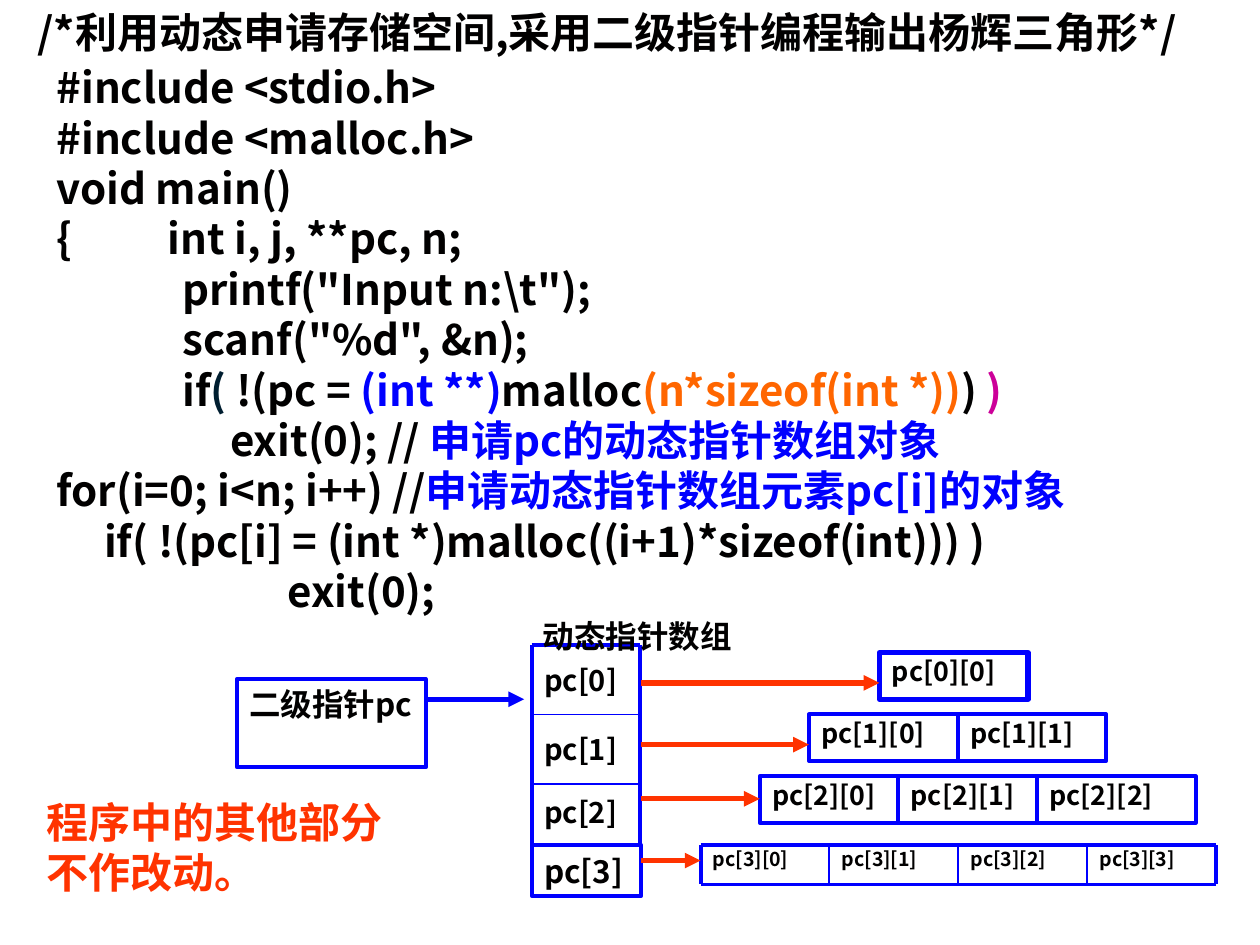
"""Draw the slide on a Pascal triangle built with a pointer to pointers."""
from dataclasses import dataclass
from lxml.etree import SubElement
from pptx import Presentation
from pptx.dml.color import RGBColor
from pptx.enum.shapes import MSO_CONNECTOR, MSO_SHAPE
from pptx.enum.text import MSO_ANCHOR, MSO_AUTO_SIZE, PP_ALIGN
from pptx.oxml.ns import qn
from pptx.util import Inches, Pt


@dataclass(frozen=True)
class Theme:
    face: str = "Noto Sans CJK SC"
    ink: str = "010000"
    navy: str = "001E30"
    blue: str = "0000FF"
    orange: str = "FF6600"
    pink: str = "CC0099"
    red: str = "FF3300"
    code: float = 24
    label: float = 18
    slot: float = 16.6
    cell: float = 15.3
    small: float = 11.2
    thin: float = 1
    frame: float = 2.25
    thick: float = 3


class Pen:
    def __init__(self, slide, theme):
        self.slide = slide
        self.theme = theme

    def fill_text(self, shape, lines, size, pitch=None):
        frame = shape.text_frame
        frame.word_wrap = True
        frame.auto_size = MSO_AUTO_SIZE.NONE
        frame.vertical_anchor = MSO_ANCHOR.TOP
        for i, line in enumerate(lines):
            para = frame.paragraphs[0] if i == 0 else frame.add_paragraph()
            para.alignment = PP_ALIGN.LEFT
            if pitch:
                para.line_spacing = pitch
            tabs = SubElement(para._p.get_or_add_pPr(), qn("a:tabLst"))
            SubElement(tabs, qn("a:tab"), pos=str(Inches(1)), algn="l")
            for words, color in line:
                run = para.add_run()
                run.text = words
                font = run.font
                font.name = self.theme.face
                font.size = Pt(size)
                font.bold = True
                font.color.rgb = RGBColor.from_string(color)
                SubElement(run._r.get_or_add_rPr(), qn("a:ea"), typeface=self.theme.face)

    def text(self, x, y, w, h, lines, size, pitch=None):
        shape = self.slide.shapes.add_textbox(Inches(x), Inches(y), Inches(w), Inches(h))
        self.fill_text(shape, lines, size, pitch)

    def box(self, x, y, w, h, words, size, width, pitch=None):
        shape = self.slide.shapes.add_shape(
            MSO_SHAPE.RECTANGLE, Inches(x), Inches(y), Inches(w), Inches(h))
        shape.shadow.inherit = False
        shape.fill.background()
        shape.line.color.rgb = RGBColor.from_string(self.theme.blue)
        shape.line.width = Pt(width)
        self.fill_text(shape, [[(words, self.theme.ink)]], size, pitch)

    def line(self, x1, y1, x2, y2, color, width, arrow=False):
        link = self.slide.shapes.add_connector(
            MSO_CONNECTOR.STRAIGHT, Inches(x1), Inches(y1), Inches(x2), Inches(y2))
        link.line.color.rgb = RGBColor.from_string(color)
        link.line.width = Pt(width)
        props = link._element.spPr
        if arrow:
            SubElement(props.find(qn("a:ln")), qn("a:tailEnd"), type="triangle")
        SubElement(props, qn("a:effectLst"))

    def grid(self, xs, ys):
        for y in ys:
            width = self.theme.frame if y in (ys[0], ys[-1]) else self.theme.thin
            self.line(xs[0], y, xs[-1], y, self.theme.blue, width)
        for x in xs:
            width = self.theme.frame if x in (xs[0], xs[-1]) else self.theme.thin
            self.line(x, ys[0], x, ys[-1], self.theme.blue, width)


def draw_code(pen):
    t = pen.theme
    pen.text(0.2, 0, 9.61, 0.5,
             [[("/*利用动态申请存储空间,采用二级指针编程输出杨辉三角形*/", t.ink)]], t.code)
    lines = [
        [("#include <stdio.h>", t.ink)],
        [("#include <malloc.h>", t.ink)],
        [("void main()", t.ink)],
        [("{          int i, j, **pc, n;", t.ink)],
        [("\tprintf(\"Input n:\\t\");", t.ink)],
        [("\tscanf(\"%d\", &n);", t.ink)],
        [("\tif", t.ink), ("(", t.navy), (" !(pc = ", t.ink), ("(int **)", t.blue),
         ("malloc", t.ink), ("(n*sizeof(int *))", t.orange), (") ", t.ink), (")", t.pink)],
        [("\t     exit(0); // ", t.ink), ("申请pc的动态指针数组对象", t.blue)],
        [("for(i=0; i<n; i++) //", t.ink), ("申请动态指针数组元素pc[i]的对象", t.blue)],
        [("     if( !(pc[i] = (int *)malloc((i+1)*sizeof(int))) )", t.ink)],
        [("\t           exit(0);", t.ink)],
    ]
    pen.text(0.35, 0.44, 9.21, 4.9, lines, t.code)
    pen.text(0.27, 6.27, 3.07, 0.9, [[("程序中的其他部分不作改动。", t.red)]], t.code)


def draw_slots(pen):
    t = pen.theme
    for i, y in enumerate((5.24, 5.79, 6.29)):
        pen.text(4.22, y, 0.86, 0.4, [[(f"pc[{i}]", t.ink)]], t.slot, 0.9)
    pen.grid((4.22, 5.08), (5.12, 5.67, 6.22, 6.71))
    pen.box(4.22, 6.71, 0.87, 0.4, "pc[3]", t.label, t.frame)
    pen.text(4.21, 4.85, 1.81, 0.4, [[("动态指针数组", t.ink)]], t.label)
    pen.box(1.88, 5.39, 1.5, 0.7, "二级指针pc", t.label, t.frame)
    pen.line(3.37, 5.55, 4.16, 5.55, t.blue, t.thick, True)


def draw_rows(pen):
    t = pen.theme
    rows = [(6.98, (1.18,), t.thick), (6.42, (1.18, 1.18), t.frame),
            (6.03, (1.1, 1.1, 1.26), t.frame)]
    for i, (left, sizes, width) in enumerate(rows):
        for j, size in enumerate(sizes):
            pen.box(left + sum(sizes[:j]), 5.18 + 0.49 * i, size, 0.37,
                    f"pc[{i}][{j}]", t.cell, width, 0.9)
    step = 4.09 / 4
    xs = [5.56 + step * j for j in range(5)]
    for j, x in enumerate(xs[:-1]):
        pen.text(x, 6.71, step, 0.31, [[(f"pc[3][{j}]", t.ink)]], t.small, 0.8)
    pen.grid(xs, (6.71, 7.02))
    for x, y in ((6.98, 5.42), (6.42, 5.91), (6.03, 6.34), (5.56, 6.83)):
        pen.line(5.09, y, x, y, t.red, t.thick, True)


def main():
    deck = Presentation()
    deck.slide_width, deck.slide_height = Inches(10), Inches(7.5)
    pen = Pen(deck.slides.add_slide(deck.slide_layouts[6]), Theme())
    draw_code(pen)
    draw_slots(pen)
    draw_rows(pen)
    deck.save("out.pptx")


if __name__ == "__main__":
    main()
